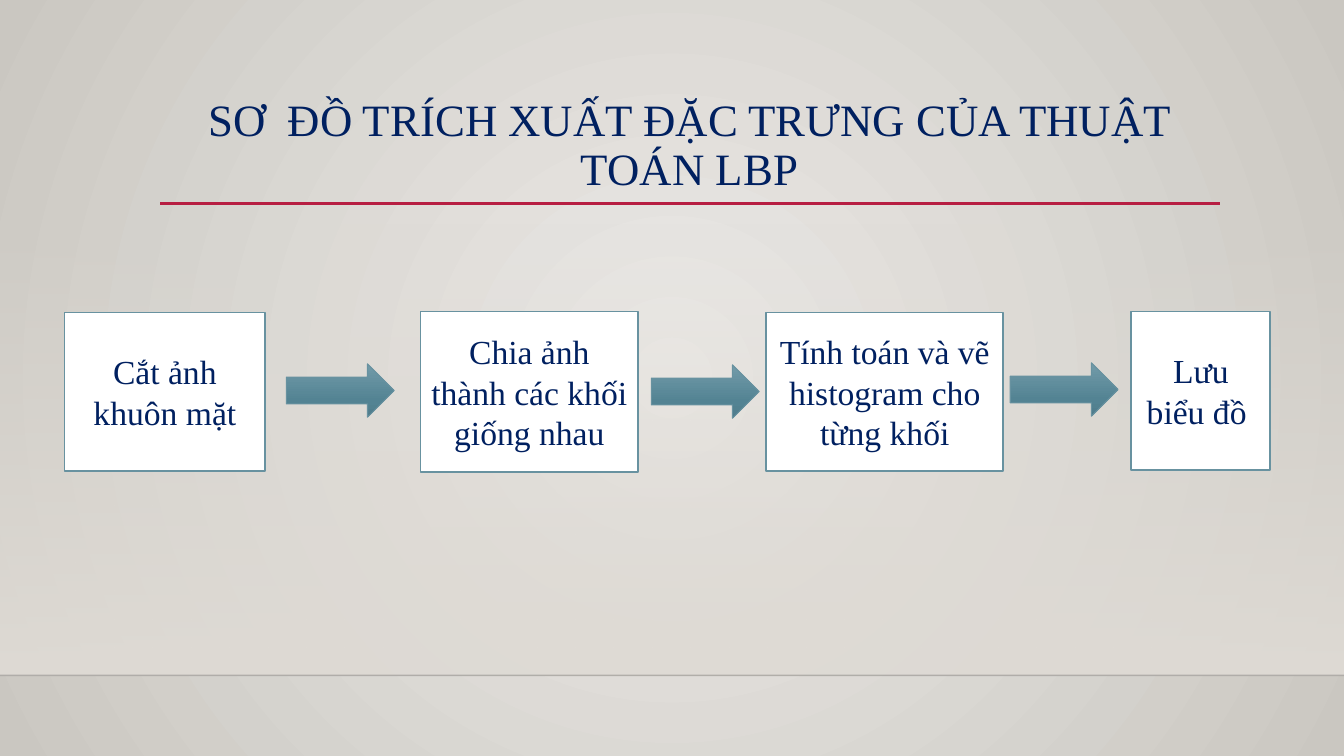
from lxml import etree
from pptx import Presentation
from pptx.dml.color import RGBColor
from pptx.enum.shapes import MSO_CONNECTOR, MSO_SHAPE
from pptx.enum.text import MSO_ANCHOR, PP_ALIGN
from pptx.oxml.ns import qn
from pptx.util import Inches, Pt

RECT, ARROW = MSO_SHAPE.RECTANGLE, MSO_SHAPE.RIGHT_ARROW
STRAIGHT = MSO_CONNECTOR.STRAIGHT
MIDDLE, CENTER = MSO_ANCHOR.MIDDLE, PP_ALIGN.CENTER

NAVY = RGBColor(0x00, 0x20, 0x60)
WHITE = RGBColor(0xFF, 0xFF, 0xFF)
TEAL = RGBColor(0x68, 0x92, 0xA0)
RED = RGBColor(0xB7, 0x1E, 0x42)
BLACK = RGBColor(0x00, 0x00, 0x01)
PALE = RGBColor(0xEC, 0xEA, 0xE7)
STONE = RGBColor(0xCA, 0xC7, 0xC1)
SAND = RGBColor(0xDF, 0xDB, 0xD5)

# Content: text, then left, top, width, height in inches
TITLE = "SƠ  ĐỒ TRÍCH XUẤT ĐẶC TRƯNG CỦA THUẬT TOÁN LBP"
STEPS = [
    ("Cắt ảnh khuôn mặt", (0.64, 3.1, 1.99, 1.57)),
    ("Chia ảnh thành các khối giống nhau", (4.17, 3.09, 2.16, 1.59)),
    ("Tính toán và vẽ histogram cho từng khối", (7.6, 3.1, 2.35, 1.57)),
    ("Lưu biểu đồ ", (11.22, 3.09, 1.38, 1.57)),
]
ARROWS = [(2.84, 3.61), (6.46, 3.62), (10.02, 3.6)]
ARROW_SIZE = (1.07, 0.53)
WIDE, HIGH, FLOOR = 13.33, 7.5, 6.7

# Gradient stops: position, colour, opacity (percent)
BACK = [(0, PALE, 100), (100, STONE, 100)]
WALL = [(0, SAND, 0), (100, SAND, 100)]
STEEL = [(0, RGBColor(0x72, 0x9B, 0xA9), 100),
         (69, RGBColor(0x53, 0x83, 0x93), 100),
         (100, RGBColor(0x4F, 0x7C, 0x8B), 100)]


def add(parent, tag, **attrs):
    node = etree.SubElement(parent, qn(tag))
    for key, val in attrs.items():
        node.set(key, str(val))
    return node


def shade(props, stops, round_=False):
    """Swap the solid fill in props for a gradient."""
    solid = props.find(qn("a:solidFill"))
    grad = etree.Element(qn("a:gradFill"), rotWithShape="1")
    stop_list = add(grad, "a:gsLst")
    for pos, color, alpha in stops:
        stop = add(stop_list, "a:gs", pos=pos * 1000)
        tint = add(stop, "a:srgbClr", val=color)
        if alpha < 100:
            add(tint, "a:alpha", val=alpha * 1000)
    if round_:
        ring = add(grad, "a:path", path="circle")
        add(ring, "a:fillToRect", l=50000, t=50000, r=50000, b=50000)
    else:
        add(grad, "a:lin", ang=90 * 60000, scaled=0)
    props.replace(solid, grad)


def block(kind, box, fill, width=None):
    shape = slide.shapes.add_shape(kind, *map(Inches, box))
    shape.shadow.inherit = False
    shape.fill.solid()
    shape.fill.fore_color.rgb = fill
    if width:
        shape.line.color.rgb = TEAL
        shape.line.width = Pt(width)
    else:
        shape.line.fill.background()
    return shape


def rule(left, right, y, color, width):
    line = slide.shapes.add_connector(
        STRAIGHT, Inches(left), Inches(y), Inches(right), Inches(y))
    line.line.color.rgb = color
    line.line.width = Pt(width)
    add(line.element.spPr, "a:effectLst")
    return line


def write(shape, text, size, spacing=1.0):
    frame = shape.text_frame
    frame.word_wrap = True
    frame.vertical_anchor = MIDDLE
    para = frame.paragraphs[0]
    para.alignment, para.line_spacing = CENTER, spacing
    run = para.add_run()
    run.text = text
    look = {"name": "Times New Roman", "size": Pt(size)}
    for key, val in look.items():
        setattr(run.font, key, val)
    run.font.color.rgb = NAVY


deck = Presentation()
deck.slide_width, deck.slide_height = Inches(WIDE), Inches(HIGH)
slide = deck.slides.add_slide(deck.slide_layouts[6])

# Backdrop: round glow, wall and floor edge
slide.background.fill.solid()
shade(slide.element.find(".//" + qn("p:bgPr")), BACK, round_=True)
wall = block(RECT, (0, 2.21, WIDE, FLOOR - 2.21), SAND)
shade(wall.element.spPr, WALL)
edge = rule(0, WIDE, FLOOR, BLACK, 1)
add(edge.element.find(".//" + qn("a:srgbClr")), "a:alpha", val=20000)

# Title and its underline
rule(1.59, 12.1, 2.02, RED, 2.5)
title = slide.shapes.add_textbox(*map(Inches, (1.59, 0.88, 10.5, 1.15)))
write(title, TITLE, 32, 0.9)

# Steps of the flow
for text, box in STEPS:
    write(block(RECT, box, WHITE, 1.25), text, 24)

# Arrows between the steps
for spot in ARROWS:
    arrow = block(ARROW, spot + ARROW_SIZE, TEAL, 0.75)
    shade(arrow.element.spPr, STEEL)

deck.save("out.pptx")
